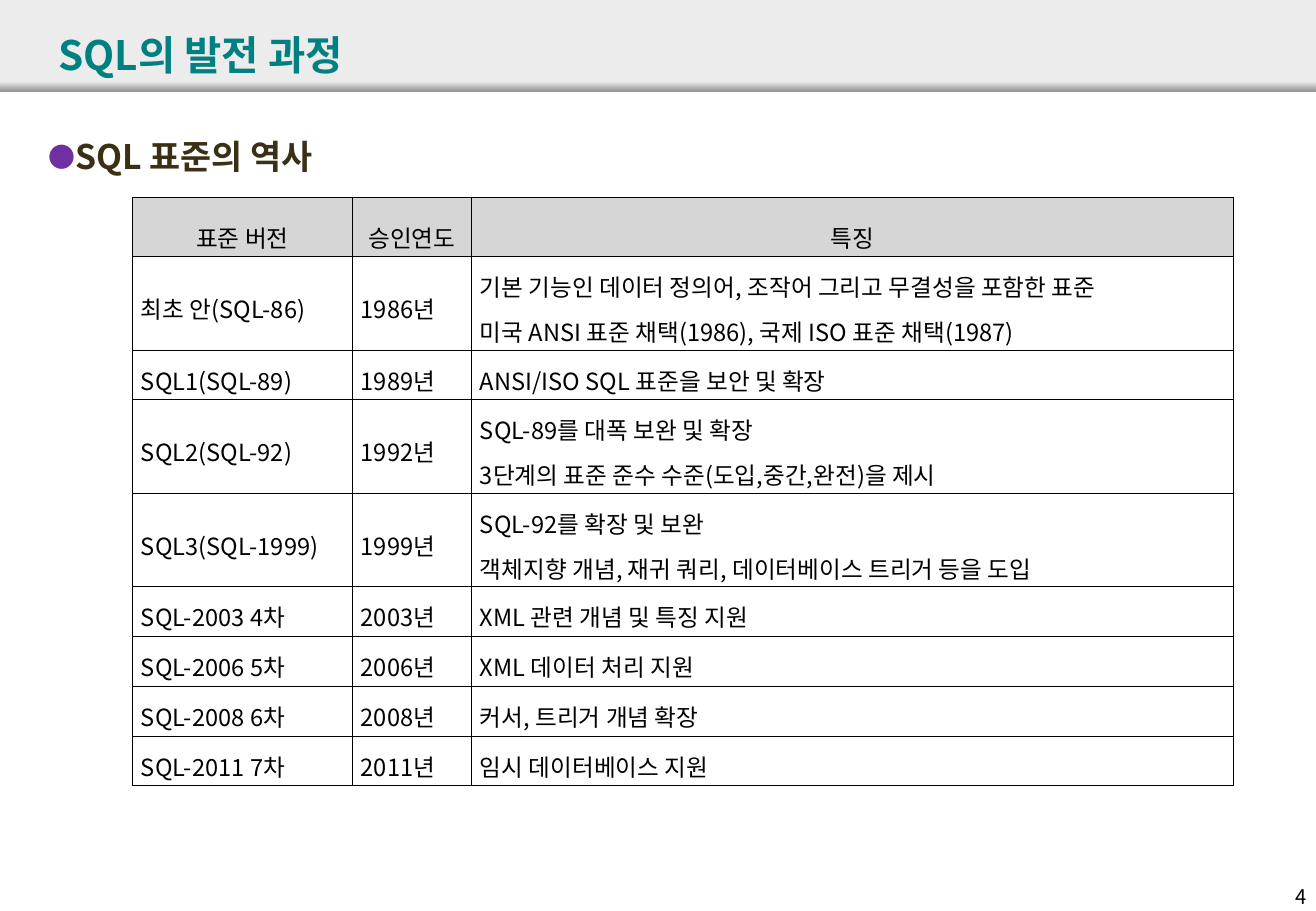
from lxml import etree
from pptx import Presentation
from pptx.dml.color import RGBColor
from pptx.enum.shapes import MSO_SHAPE
from pptx.enum.text import MSO_ANCHOR, PP_ALIGN
from pptx.oxml.ns import qn
from pptx.util import Inches, Pt

RECT = MSO_SHAPE.RECTANGLE
TOP, MIDDLE = MSO_ANCHOR.TOP, MSO_ANCHOR.MIDDLE
LEFT, CENTER = PP_ALIGN.LEFT, PP_ALIGN.CENTER
RIGHT, JUSTIFY = PP_ALIGN.RIGHT, PP_ALIGN.JUSTIFY

FONT = "Noto Sans CJK KR"
COLORS = {
    "band": "ECECEC",
    "band_edge": "979797",
    "title": "008080",
    "heading": "3A3016",
    "bullet": "7030A0",
    "header": "D6D6D6",
    "text": "000000",
    "border": "000000",
}

TITLE_FONT = {"size": Pt(24), "bold": True}
HEADING_FONT = {"size": Pt(20), "bold": True}
NUMBER_FONT = {"size": Pt(12)}
CELL_FONT = {"size": Pt(14)}

HEADER_PARA = {"alignment": CENTER, "line_spacing": 1.6}
BODY_PARA = {"alignment": JUSTIFY, "line_spacing": 1.3}
CELL_FORMAT = {
    "vertical_anchor": MIDDLE,
    "margin_left": Inches(0.07),
    "margin_right": Inches(0.07),
    "margin_top": Inches(0.02),
    "margin_bottom": Inches(0.02),
}

COLUMN_WIDTHS = [1.81, 0.98, 6.27]
HEADER_HEIGHT = 0.49
ROW_HEIGHTS = {1: 0.41, 2: 0.77}

HEADERS = ["표준 버전", "승인연도", "특징"]
STANDARDS = [
    ("최초 안(SQL-86)", "1986년",
     "기본 기능인 데이터 정의어, 조작어 그리고 무결성을 포함한 표준\n"
     "미국 ANSI 표준 채택(1986), 국제 ISO 표준 채택(1987)"),
    ("SQL1(SQL-89)", "1989년", "ANSI/ISO SQL 표준을 보안 및 확장"),
    ("SQL2(SQL-92)", "1992년",
     "SQL-89를 대폭 보완 및 확장\n"
     "3단계의 표준 준수 수준(도입,중간,완전)을 제시"),
    ("SQL3(SQL-1999)", "1999년",
     "SQL-92를 확장 및 보완\n"
     "객체지향 개념, 재귀 쿼리, 데이터베이스 트리거 등을 도입"),
    ("SQL-2003 4차", "2003년", "XML 관련 개념 및 특징 지원"),
    ("SQL-2006 5차", "2006년", "XML 데이터 처리 지원"),
    ("SQL-2008 6차", "2008년", "커서, 트리거 개념 확장"),
    ("SQL-2011 7차", "2011년", "임시 데이터베이스 지원"),
]


def rgb(name):
    return RGBColor.from_string(COLORS[name])


def apply(target, values):
    for name, value in values.items():
        setattr(target, name, value)


def write(tf, text, font, color, para):
    for i, line in enumerate(text.split("\n")):
        p = tf.add_paragraph() if i else tf.paragraphs[0]
        apply(p, para)
        r = p.add_run()
        r.text = line
        apply(r.font, font)
        r.font.color.rgb = rgb(color)
        r.font.name = FONT
        etree.SubElement(r.font._element, qn("a:ea"), typeface=FONT)


def add_text(slide, box, text, font, color, para, anchor=TOP):
    sp = slide.shapes.add_textbox(*map(Inches, box))
    tf = sp.text_frame
    tf.word_wrap = True
    tf.vertical_anchor = anchor
    write(tf, text, font, color, para)
    return tf.paragraphs[0]


def add_bullet(p):
    pPr = p._p.get_or_add_pPr()
    pPr.set("marL", str(Inches(0.2)))
    pPr.set("indent", str(-Inches(0.2)))
    color = etree.SubElement(pPr, qn("a:buClr"))
    etree.SubElement(color, qn("a:srgbClr"), val=COLORS["bullet"])
    etree.SubElement(pPr, qn("a:buSzPct"), val="80000")
    etree.SubElement(pPr, qn("a:buFont"), typeface=FONT)
    etree.SubElement(pPr, qn("a:buChar"), char="●")


def add_band(slide, box):
    sp = slide.shapes.add_shape(RECT, *map(Inches, box))
    sp.shadow.inherit = False
    sp.line.fill.background()
    return sp.fill


def add_title_band(slide):
    fill = add_band(slide, (0, 0, 10.83, 0.75))
    fill.solid()
    fill.fore_color.rgb = rgb("band")
    fill = add_band(slide, (0, 0.67, 10.83, 0.08))
    fill.gradient()
    fill.gradient_angle = 270
    for stop, position, color in zip(fill.gradient_stops, (0, 1), ("band", "band_edge")):
        stop.position = position
        stop.color.rgb = rgb(color)


def add_borders(cell):
    tcPr = cell._tc.get_or_add_tcPr()
    for side in ("lnL", "lnR", "lnT", "lnB"):
        ln = etree.SubElement(tcPr, qn(f"a:{side}"), w=str(Pt(0.28)))
        fill = etree.SubElement(ln, qn("a:solidFill"))
        etree.SubElement(fill, qn("a:srgbClr"), val=COLORS["border"])


def fill_cell(cell, text, is_header):
    apply(cell, CELL_FORMAT)
    add_borders(cell)
    if is_header:
        cell.fill.solid()
        cell.fill.fore_color.rgb = rgb("header")
    else:
        cell.fill.background()
    write(cell.text_frame, text, CELL_FONT, "text", HEADER_PARA if is_header else BODY_PARA)


def add_standards_table(slide):
    rows = [HEADERS, *STANDARDS]
    heights = [HEADER_HEIGHT]
    heights += [ROW_HEIGHTS[len(row[-1].split("\n"))] for row in STANDARDS]
    box = (1.09, 1.62, sum(COLUMN_WIDTHS), sum(heights))
    table = slide.shapes.add_table(len(rows), len(HEADERS), *map(Inches, box)).table
    apply(table, {"first_row": False, "horz_banding": False})
    for column, width in zip(table.columns, COLUMN_WIDTHS):
        column.width = Inches(width)
    for i, (row, height) in enumerate(zip(rows, heights)):
        table.rows[i].height = Inches(height)
        for j, text in enumerate(row):
            fill_cell(table.cell(i, j), text, i == 0)


def main():
    prs = Presentation()
    prs.slide_width, prs.slide_height = Inches(10.83), Inches(7.5)
    slide = prs.slides.add_slide(prs.slide_layouts[6])
    add_title_band(slide)
    add_text(slide, (10.3, 7.23, 0.55, 0.3), "4", NUMBER_FONT, "text",
             {"alignment": RIGHT})
    add_text(slide, (0.38, 0.13, 9.92, 0.63), "SQL의 발전 과정", TITLE_FONT, "title",
             {"alignment": LEFT}, MIDDLE)
    heading = add_text(slide, (0.3, 1.07, 10.32, 6.22), "SQL 표준의 역사", HEADING_FONT,
                       "heading", {"alignment": LEFT, "space_before": Pt(4)})
    add_bullet(heading)
    add_standards_table(slide)
    prs.save("out.pptx")


if __name__ == "__main__":
    main()
